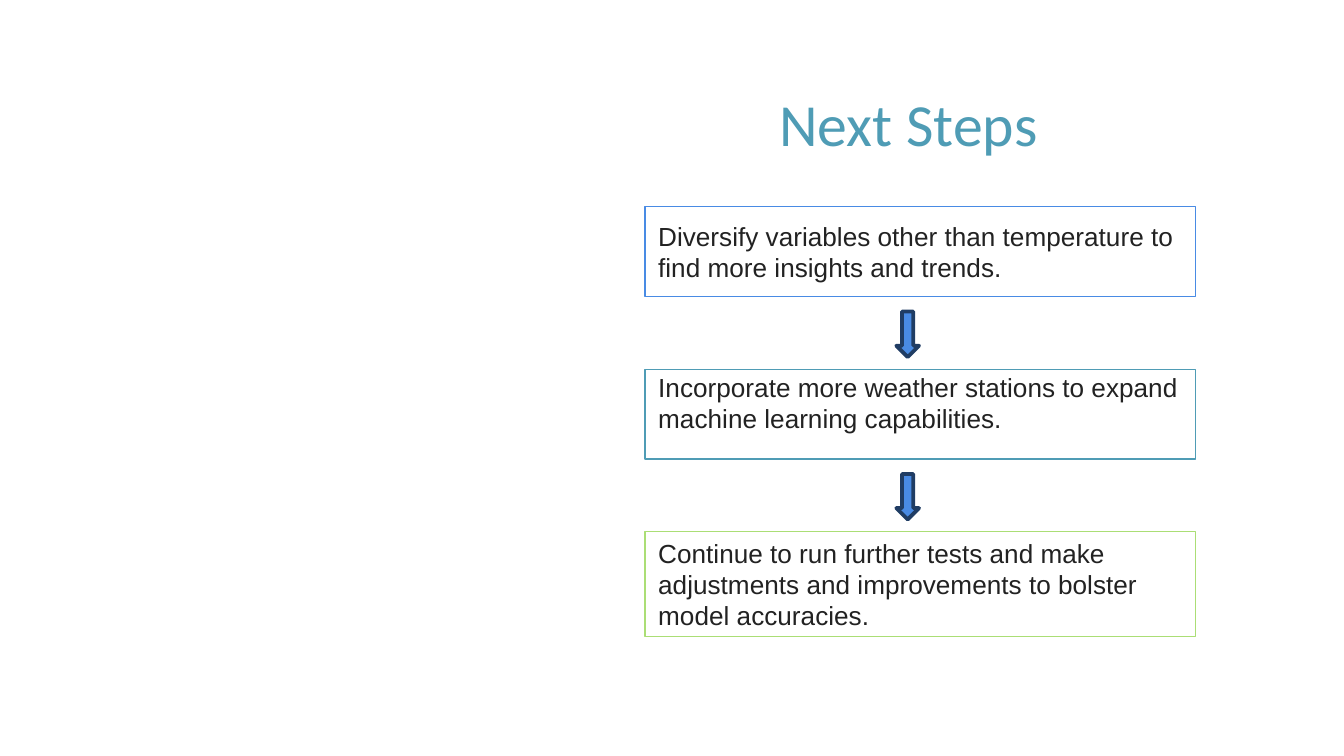
from pptx import Presentation
from pptx.dml.color import RGBColor as RGB
from pptx.enum.shapes import MSO_SHAPE as Kind
from pptx.enum.text import MSO_ANCHOR as Anchor, PP_ALIGN as Align
from pptx.util import Cm, Pt

BLUE = RGB(0x49, 0x8B, 0xE4)
TEAL = RGB(0x4F, 0x9C, 0xB5)
GREEN = RGB(0xAB, 0xDE, 0x75)
NAVY = RGB(0x20, 0x3D, 0x64)
INK = RGB(0x22, 0x22, 0x22)

# Content: text, border, height, anchor, top inset (cm)
TITLE = "Next Steps"
STEPS = [
    ("Diversify variables other than temperature to find more insights and trends.",
     BLUE, 1.7, Anchor.MIDDLE, 0.25),
    ("Incorporate more weather stations to expand machine learning capabilities.",
     TEAL, 1.7, Anchor.TOP, 0.04),
    ("Continue to run further tests and make adjustments and improvements "
     "to bolster model accuracies.",
     GREEN, 1.98, Anchor.MIDDLE, 0.25),
]

# Layout (cm)
LEFT, TOP, WIDTH, PITCH = 12.19, 3.91, 10.41, 3.07
ARROW_LEFT, ARROW_DROP, ARROW_W, ARROW_H = 16.94, 1.98, 0.43, 0.86
PAD = 0.25


def write(shape, text, font, size, color, align, anchor, pads):
    frame = shape.text_frame
    frame.word_wrap = True
    frame.vertical_anchor = anchor
    frame.margin_left = frame.margin_right = Cm(pads[0])
    frame.margin_top, frame.margin_bottom = Cm(pads[1]), Cm(pads[2])
    frame.text = text
    para = frame.paragraphs[0]
    para.alignment = align
    style = para.runs[0].font
    style.name, style.size, style.color.rgb = font, Pt(size), color


def draw(slide, kind, left, top, width, height, line, weight, fill=None):
    shape = slide.shapes.add_shape(kind, Cm(left), Cm(top), Cm(width), Cm(height))
    shape.shadow.inherit = False
    if fill is None:
        shape.fill.background()
    else:
        shape.fill.solid()
        shape.fill.fore_color.rgb = fill
    shape.line.color.rgb = line
    shape.line.width = Pt(weight)
    return shape


def main():
    deck = Presentation()
    deck.slide_width, deck.slide_height = Cm(25.4), Cm(14.29)
    slide = deck.slides.add_slide(deck.slide_layouts[6])

    # Title
    title = slide.shapes.add_textbox(Cm(10.82), Cm(0.61), Cm(12.7), Cm(2.39))
    write(title, TITLE, "Calibri", 32, TEAL, Align.CENTER, Anchor.BOTTOM, (0, 0, 0))

    # Steps, with an arrow below each but the last
    for i, (text, color, height, anchor, inset) in enumerate(STEPS):
        top = TOP + i * PITCH
        box = draw(slide, Kind.RECTANGLE, LEFT, top, WIDTH, height, color, 0.75)
        write(box, text, "Arial", 14, INK, Align.LEFT, anchor, (PAD, inset, PAD))
        if i < len(STEPS) - 1:
            draw(slide, Kind.DOWN_ARROW, ARROW_LEFT, top + ARROW_DROP,
                 ARROW_W, ARROW_H, NAVY, 2, BLUE)

    deck.save("out.pptx")


if __name__ == "__main__":
    main()
